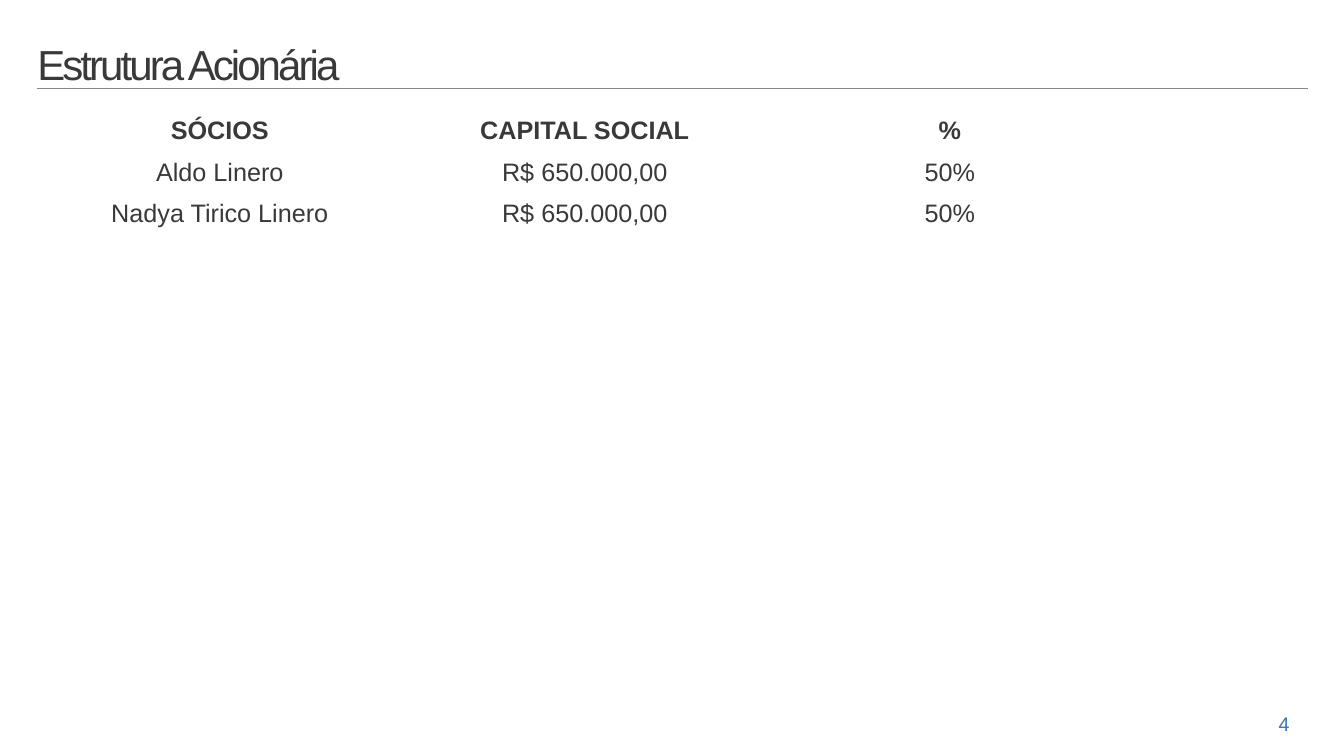
from lxml.etree import SubElement
from pptx import Presentation
from pptx.dml.color import RGBColor
from pptx.enum.shapes import MSO_CONNECTOR
from pptx.enum.text import MSO_ANCHOR, PP_ALIGN
from pptx.oxml.ns import qn
from pptx.util import Inches, Pt

TITLE = "Estrutura Acionária"
PAGE_NUMBER = "4"
SHAREHOLDERS = [
    ("SÓCIOS", "CAPITAL SOCIAL", "%"),
    ("Aldo Linero", "R$ 650.000,00", "50%"),
    ("Nadya Tirico Linero", "R$ 650.000,00", "50%"),
    ("", "", ""),
]

INK = RGBColor(0x39, 0x39, 0x39)
RULE_GREY = RGBColor(0x88, 0x88, 0x88)
PAGE_BLUE = RGBColor(0x3B, 0x72, 0xB8)

LEFT = 0.37
RULE_Y = 0.88
RULE_END = 12.97
COLUMN_WIDTH = 3.62
ROW_HEIGHT = 0.41


def write(frame, text, size=18, color=INK, bold=False, align=PP_ALIGN.CENTER,
          line_spacing=None, tracking=None):
    """Put one formatted line of text into a text frame."""
    paragraph = frame.paragraphs[0]
    paragraph.alignment = align
    paragraph.line_spacing = line_spacing
    paragraph.font.size = Pt(size)
    if not text:
        return
    run = paragraph.add_run()
    run.text = text
    run.font.name = "Arial"
    run.font.size = Pt(size)
    run.font.bold = bold
    run.font.color.rgb = color
    if tracking is not None:
        run.font._element.set("spc", str(round(tracking * 100)))


def add_heading(slide):
    """Place the title and the rule below it."""
    rule = slide.shapes.add_connector(
        MSO_CONNECTOR.STRAIGHT, Inches(LEFT), Inches(RULE_Y),
        Inches(RULE_END), Inches(RULE_Y))
    rule.line.color.rgb = RULE_GREY
    rule.line.width = Pt(0.85)
    SubElement(rule._element.spPr, qn("a:effectLst"))

    title = slide.shapes.title
    title.left, title.top = Inches(LEFT), Inches(0.12)
    title.width, title.height = Inches(6.41), Inches(0.76)
    frame = title.text_frame
    frame.vertical_anchor = MSO_ANCHOR.BOTTOM
    frame.margin_left = frame.margin_right = frame.margin_bottom = 0
    frame.margin_top = Inches(0.07)
    write(frame, TITLE, size=30, align=PP_ALIGN.LEFT,
          line_spacing=0.85, tracking=-2.1)


def add_shareholders(slide):
    """Place the table of shareholders."""
    row_count, column_count = len(SHAREHOLDERS), len(SHAREHOLDERS[0])
    table = slide.shapes.add_table(
        row_count, column_count, Inches(LEFT), Inches(1.11),
        Inches(COLUMN_WIDTH * column_count),
        Inches(ROW_HEIGHT * row_count)).table
    table.first_row = table.horz_banding = False
    for r, shareholder in enumerate(SHAREHOLDERS):
        for c, entry in enumerate(shareholder):
            cell = table.cell(r, c)
            cell.fill.background()
            write(cell.text_frame, entry, bold=r == 0)


def add_page_number(slide):
    """Place the page number at the lower right."""
    number = slide.shapes.add_textbox(
        Inches(12.47), Inches(7.01), Inches(0.53), Inches(0.34))
    number.text_frame.word_wrap = True
    write(number.text_frame, PAGE_NUMBER, size=14, color=PAGE_BLUE)


def main():
    """Build the slide and save it."""
    deck = Presentation()
    deck.slide_width, deck.slide_height = Inches(13.33), Inches(7.5)
    slide = deck.slides.add_slide(deck.slide_layouts[5])
    add_heading(slide)
    add_shareholders(slide)
    add_page_number(slide)
    deck.save("out.pptx")


if __name__ == "__main__":
    main()
